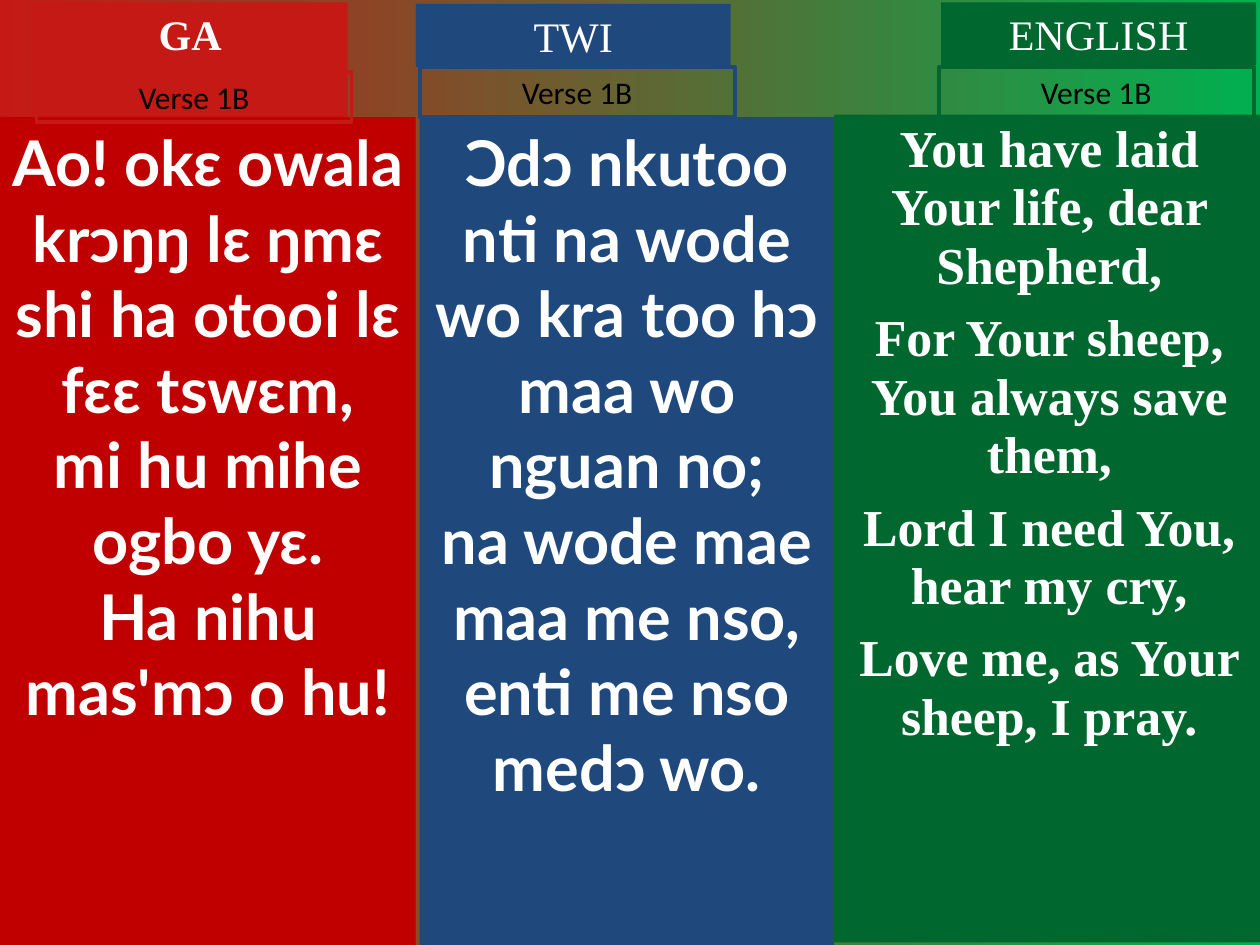
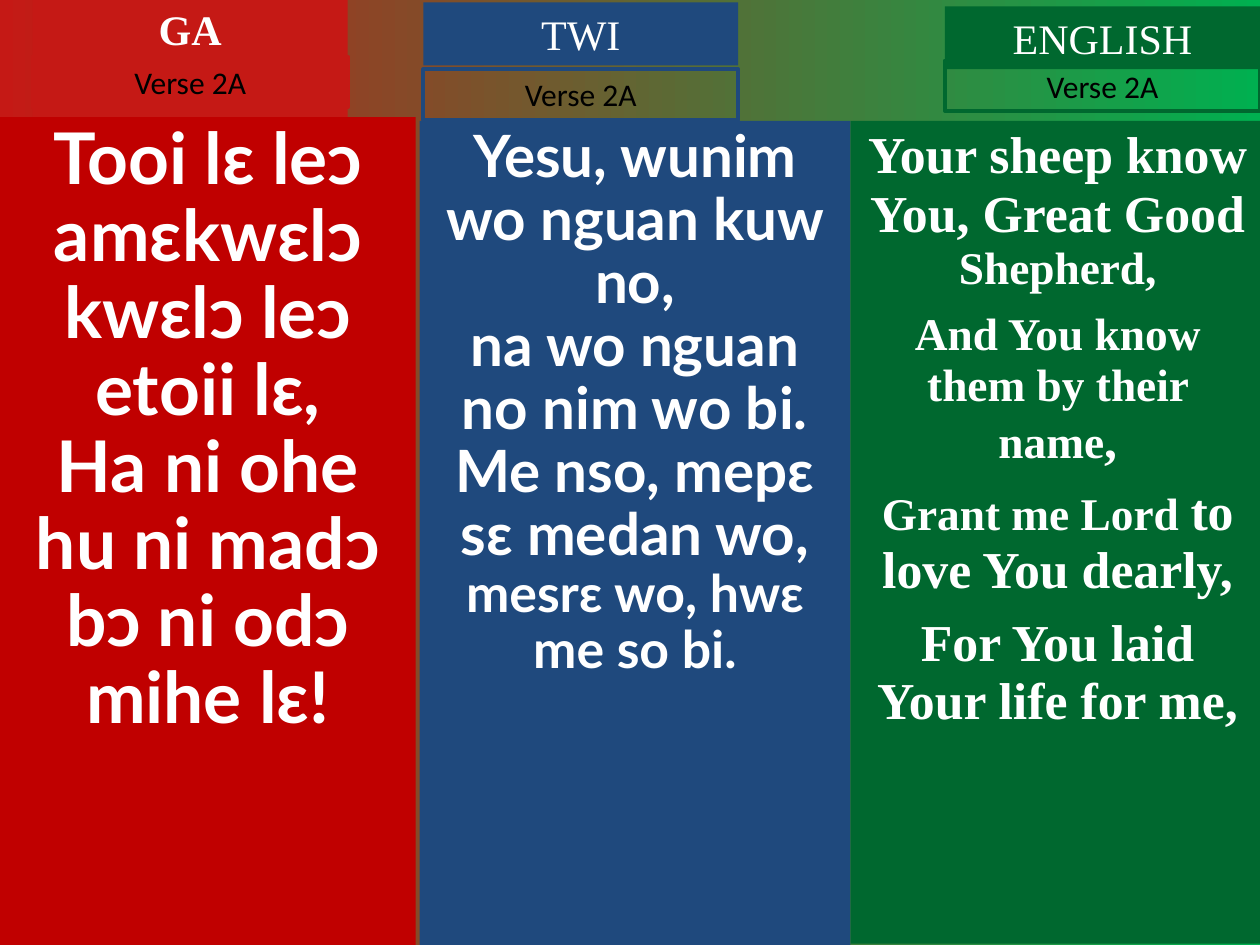
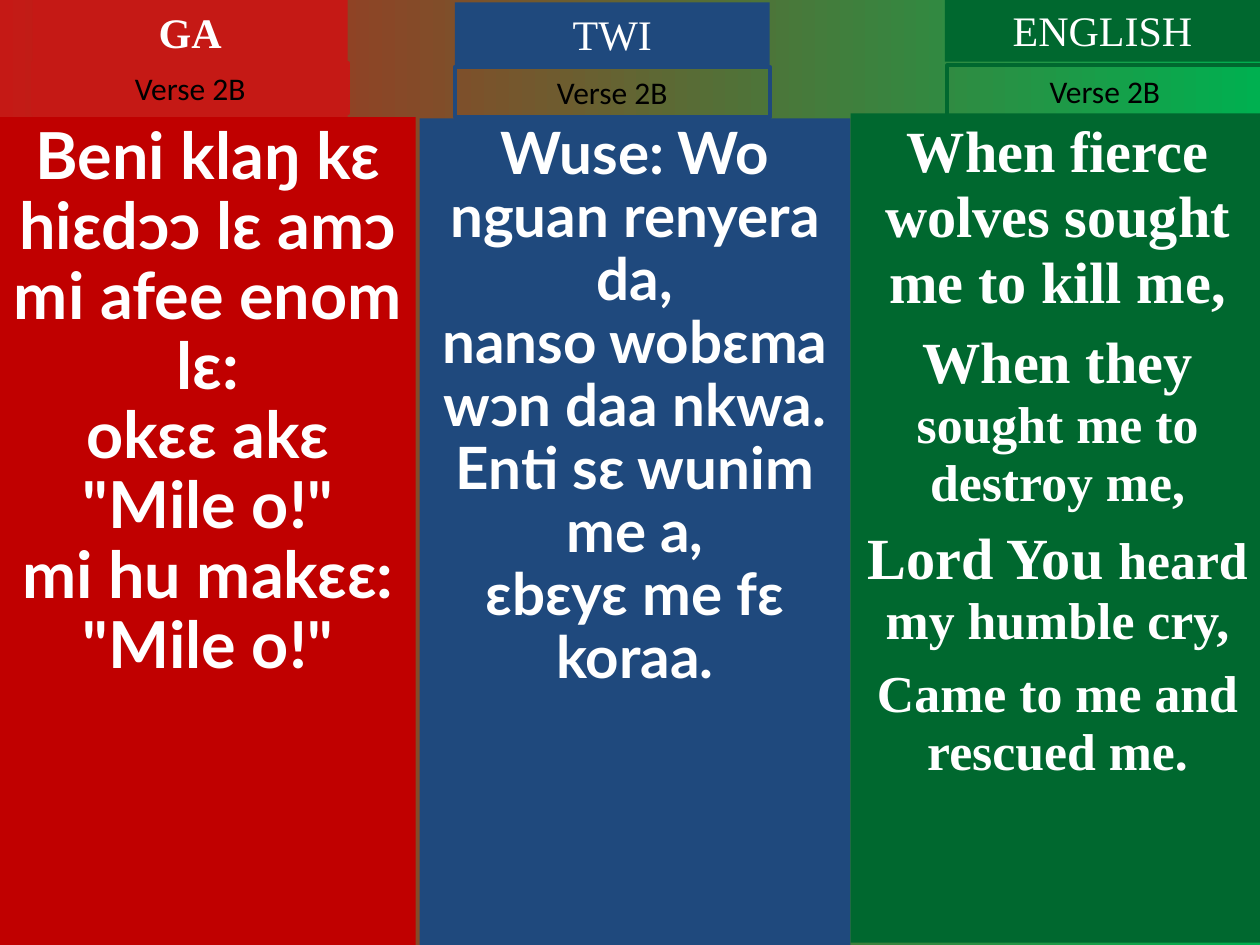
from pptx import Presentation
from pptx.dml.color import RGBColor
from pptx.enum.shapes import MSO_SHAPE
from pptx.enum.text import MSO_ANCHOR, MSO_AUTO_SIZE, PP_ALIGN
from pptx.util import Pt

RECT = MSO_SHAPE.RECTANGLE
TOP = MSO_ANCHOR.TOP
CENTER = PP_ALIGN.CENTER
GROW = MSO_AUTO_SIZE.SHAPE_TO_FIT_TEXT
FIXED = MSO_AUTO_SIZE.NONE
TITLE_ONLY = 5

WHITE, BLACK = "FFFFFF", "000000"
SERIF, LYRIC, PLAIN = "Times New Roman", "Lato", "Calibri"
BACKGROUND = ("C51915", "00B050")
HEADER_SIZE, VERSE_SIZE = (180, 36), (180, 28.8)

LANGUAGES = [
    {"name": "GA", "accent": "C51915", "fill": "C00000", "font": LYRIC, "bold": True},
    {"name": "TWI", "accent": "1F497D", "fill": "1F497D", "font": LYRIC, "bold": False},
    {"name": "ENGLISH", "accent": "00682F", "fill": "00682F", "font": SERIF, "bold": False},
]

VERSES = [
    {
        "verse": "Verse 1B",
        "headers": [(18.7, 1.4), (237.6, 2.2), (537.8, 1.4)],
        "labels": [(20.9, 41), (239.8, 38.2), (536.4, 38.2)],
        "columns": [(0, 67, 237.6, 473), (239.8, 67, 236.9, 473), (476.6, 65.5, 246.2, 473)],
        "spacing": [(1, 0), (1, 0), (0.94, 8)],
        "lyrics": [
            [[("Ao! okɛ owala krɔŋŋ lɛ ŋmɛ shi ha otooi lɛ fɛɛ tswɛm,", 36)],
             [("mi hu mihe ogbo yɛ.", 36)],
             [("Ha nihu mas'mɔ o hu!", 36)]],
            [[("Ɔdɔ nkutoo nti na wode wo kra too hɔ maa wo nguan no;", 36)],
             [("na wode mae maa me nso,", 36)],
             [("enti me nso medɔ wo.", 36)]],
            [[("You have laid Your life, dear Shepherd,", 29.6)],
             [("For Your sheep, You always save them,", 29.6)],
             [("Lord I need You, hear my cry,", 29.6)],
             [("Love me, as Your sheep, I pray.", 29.6)]],
        ],
    },
    {
        "verse": "Verse 2A",
        "headers": [(18.7, -1.4), (241.9, 1.4), (540, 3.6)],
        "labels": [(18.7, 32.4), (241.9, 39.6), (540, 34.6)],
        "columns": [(0, 67, 237.6, 473), (239.8, 69.1, 246.2, 470.9), (486, 69.1, 236.9, 470.2)],
        "spacing": [(0.9, 0), (0.9, 0), (0.94, 8)],
        "lyrics": [
            [[("Tooi lɛ leɔ amɛkwɛlɔ", 40.7)],
             [("kwɛlɔ leɔ etoii lɛ,", 40.7)],
             [("Ha ni ohe hu ni madɔ bɔ ni odɔ mihe lɛ!", 40.7)]],
            [[("Yesu, wunim wo nguan kuw no,", 33.3)],
             [("na wo nguan no nim wo bi.", 33.3)],
             [("Me nso, mepɛ sɛ medan wo,", 33.3)],
             [("mesrɛ wo, hwɛ me so bi.", 29.6)]],
            [[("Your sheep know You, Great Good ", 29.6), ("Shepherd,", 25.9)],
             [("And You know them by their name", 25.9), (",", 29.6)],
             [("Grant me Lord ", 25.9), ("to love You dearly,", 29.6)],
             [("For You laid Your life for me,", 29.6)]],
        ],
    },
    {
        "verse": "Verse 2B",
        "headers": [(18.7, 0), (259.9, 1.4), (540, -0.7)],
        "labels": [(18.7, 36), (259.9, 38.2), (541.4, 37.4)],
        "columns": [(0, 67, 237.6, 473), (239.8, 67.7, 246.2, 472.3), (486, 64.8, 236.9, 473.8)],
        "spacing": [(0.9, 0), (0.9, 0), (0.94, 8)],
        "lyrics": [
            [[("Beni klaŋ kɛ hiɛdɔɔ lɛ amɔ mi afee enom lɛ:", 37)],
             [("okɛɛ akɛ \"Mile o!\"", 37)],
             [("mi hu makɛɛ: \"Mile o!\"", 37)]],
            [[("Wuse: Wo nguan renyera da,", 33.3)],
             [("nanso wobɛma wɔn daa nkwa.", 33.3)],
             [("Enti sɛ wunim me a,", 33.3)],
             [("ɛbɛyɛ me fɛ koraa.", 33.3)]],
            [[("When fierce wolves sought me to kill me,", 33.3)],
             [("When they ", 33.3), ("sought me to destroy me,", 29.6)],
             [("Lord You ", 33.3), ("heard my humble cry,", 29.6)],
             [("Came to me and rescued me.", 29.6)]],
        ],
    },
]


def rgb(value):
    return RGBColor.from_string(value)


def set_attrs(obj, values):
    for name, value in values.items():
        setattr(obj, name, value)


def place(sp, box):
    set_attrs(sp, dict(zip(("left", "top", "width", "height"), map(Pt, box))))


def add_rect(slide, box):
    sp = slide.shapes.add_shape(RECT, *map(Pt, box))
    sp.shadow.inherit = False
    return sp


def paint(sp, fill=None, line=None):
    if fill:
        sp.fill.solid()
        sp.fill.fore_color.rgb = rgb(fill)
    else:
        sp.fill.background()
    if line:
        sp.line.color.rgb = rgb(line)
        sp.line.width = Pt(2.25)
    else:
        sp.line.fill.background()


def write(sp, paragraphs, font, color, bold, auto_size, spacing=(1, 0)):
    line_spacing, gap = spacing
    tf = sp.text_frame
    set_attrs(tf, {
        "word_wrap": True, "auto_size": auto_size, "vertical_anchor": TOP,
        "margin_left": Pt(7.2), "margin_right": Pt(7.2),
        "margin_top": Pt(3.6), "margin_bottom": Pt(3.6),
    })
    for i, runs in enumerate(paragraphs):
        p = tf.add_paragraph() if i else tf.paragraphs[0]
        set_attrs(p, {"alignment": CENTER, "line_spacing": line_spacing,
                      "space_before": Pt(gap if i else 0)})
        for text, size in runs:
            r = p.add_run()
            r.text = text
            set_attrs(r.font, {"name": font, "size": Pt(size), "bold": bold})
            r.font.color.rgb = rgb(color)


def add_column(slide, lang, box, paragraphs, spacing):
    sp = add_rect(slide, box)
    paint(sp, fill=lang["fill"])
    write(sp, paragraphs, lang["font"], WHITE, True, FIXED, spacing)


def add_header(slide, lang, origin):
    box = origin + HEADER_SIZE
    if lang is LANGUAGES[0]:
        sp = slide.shapes.title
        place(sp, box)
    else:
        sp = add_rect(slide, box)
    paint(sp, fill=lang["accent"])
    write(sp, [[(lang["name"], 24)]], SERIF, WHITE, lang["bold"], GROW)


def add_verse_label(slide, lang, origin, text):
    sp = add_rect(slide, origin + VERSE_SIZE)
    paint(sp, line=lang["accent"])
    write(sp, [[(text, 18)]], PLAIN, BLACK, False, GROW)


def set_background(master):
    fill = master.background.fill
    fill.gradient()
    fill.gradient_angle = 0
    for stop, color in zip(fill.gradient_stops, BACKGROUND):
        stop.color.rgb = rgb(color)


def add_verse_slide(prs, verse):
    slide = prs.slides.add_slide(prs.slide_layouts[TITLE_ONLY])
    for i, lang in enumerate(LANGUAGES):
        add_column(slide, lang, verse["columns"][i], verse["lyrics"][i], verse["spacing"][i])
    for i, lang in enumerate(LANGUAGES):
        add_header(slide, lang, verse["headers"][i])
        add_verse_label(slide, lang, verse["labels"][i], verse["verse"])


def main():
    prs = Presentation()
    set_attrs(prs, {"slide_width": Pt(720), "slide_height": Pt(540)})
    set_background(prs.slide_master)
    for verse in VERSES:
        add_verse_slide(prs, verse)
    prs.save("out.pptx")


if __name__ == "__main__":
    main()
